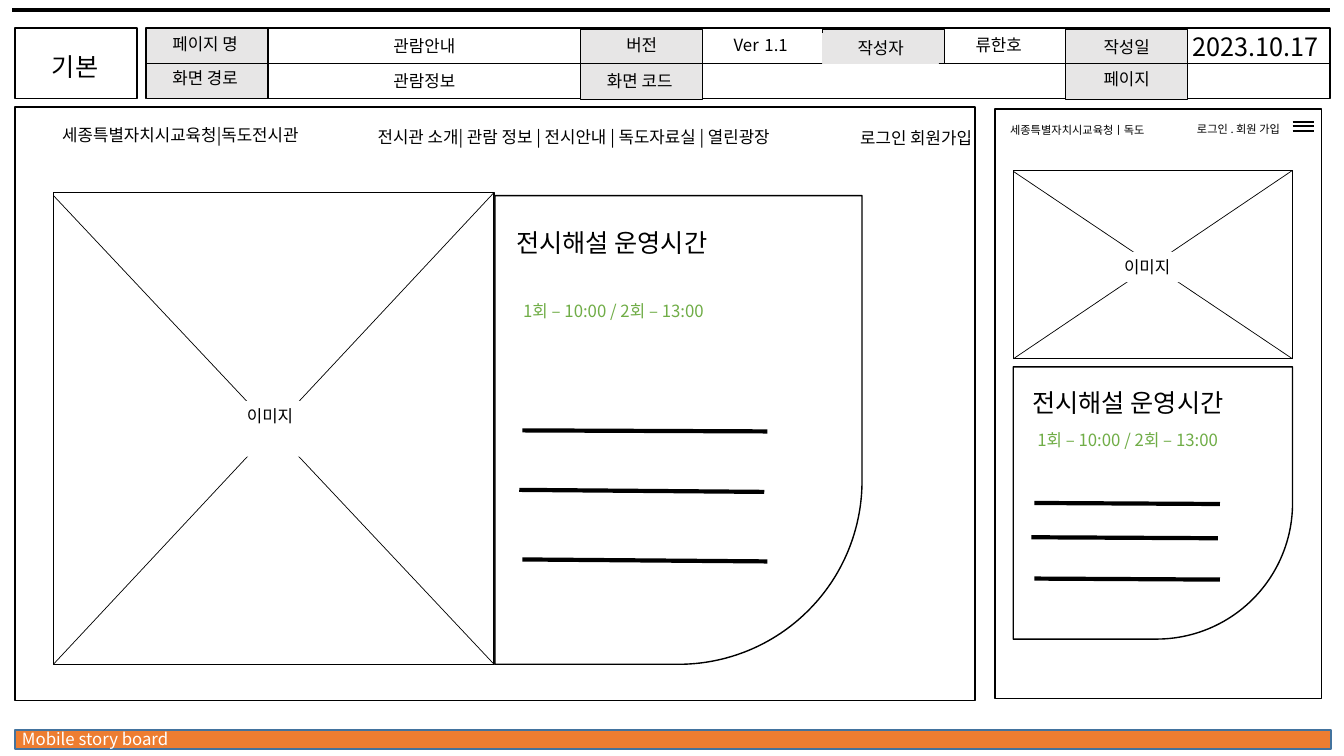
from dataclasses import dataclass
from typing import NamedTuple

from lxml.etree import SubElement
from pptx import Presentation
from pptx.dml.color import RGBColor
from pptx.enum.shapes import MSO_CONNECTOR as Connector, MSO_SHAPE as Preset
from pptx.enum.text import MSO_ANCHOR as Anchor, MSO_AUTO_SIZE as AutoSize, PP_ALIGN as Align
from pptx.oxml.ns import qn
from pptx.util import Inches, Pt


@dataclass(frozen=True)
class Theme:
    font: str = "Noto Sans CJK KR"
    black: str = "000000"
    white: str = "FFFFFF"
    gray: str = "E7E6E6"
    orange: str = "ED7D31"
    navy: str = "43739E"
    green: str = "70AD47"
    small: int = 8
    body: int = 12
    heading: int = 18
    hairline: float = 0.5
    label_line: float = 0.75
    outline: float = 1
    bold_line: float = 3


THEME = Theme()


class Box(NamedTuple):
    left: float
    top: float
    width: float
    height: float


class Stroke(NamedTuple):
    x1: float
    y1: float
    x2: float
    y2: float


class Label(NamedTuple):
    box: Box
    text: str
    size: int = THEME.body
    align: Align = Align.CENTER
    color: str = THEME.black


@dataclass(frozen=True)
class Mockup:
    picture: Box
    diagonal_top: float
    caption: Box
    card: Box
    heading: Box
    hours: Box
    strokes: tuple[Stroke, ...]
    picture_grouped: bool


HEADER = Box(1.45, 0.28, 11.74, 0.7)
FRAMES = (Box(0.15, 0.28, 1.21, 0.7), Box(0.15, 1.06, 9.52, 5.89), Box(9.87, 1.08, 3.24, 5.85))
HEADER_CELLS = (
    Box(1.45, 0.28, 1.21, 0.7),
    Box(5.76, 0.29, 1.21, 0.7),
    Box(8.16, 0.29, 1.21, 0.34),
    Box(10.57, 0.29, 1.21, 0.7),
)
AUTHOR = Label(Box(8.16, 0.33, 1.15, 0.3), "작성자")
VERSION = Label(Box(6.54, 0.21, 2.01, 0.4), "Ver")
LABELS = (
    Label(Box(0.12, 7.18, 3.2, 0.3), "Mobile story board", align=Align.LEFT, color=THEME.white),
    Label(Box(0.17, 0.46, 1.15, 0.42), "기본", THEME.heading),
    Label(Box(1.46, 0.29, 1.15, 0.3), "페이지 명"),
    Label(Box(1.46, 0.62, 1.15, 0.3), "화면 경로"),
    Label(Box(5.79, 0.3, 1.15, 0.3), "버전"),
    Label(Box(5.77, 0.65, 1.15, 0.3), "화면 코드"),
    Label(Box(10.6, 0.32, 1.15, 0.3), "작성일"),
    Label(Box(10.6, 0.63, 1.15, 0.3), "페이지"),
    Label(Box(8.9, 0.3, 2.01, 0.3), "류한호"),
    Label(Box(11.45, 0.26, 2.01, 0.4), "2023.10.17", THEME.heading),
    Label(Box(3.06, 0.31, 2.3, 0.3), "관람안내"),
    Label(Box(3.06, 0.65, 2.3, 0.3), "관람정보"),
    Label(Box(0.26, 1.19, 3.06, 0.3), "세종특별자치시교육청|독도전시관"),
    Label(Box(3.37, 1.21, 4.64, 0.3), "전시관 소개| 관람 정보 | 전시안내 | 독도자료실 | 열린광장"),
    Label(Box(5.83, 1.22, 3.91, 0.3), "로그인 회원가입", align=Align.RIGHT),
    Label(Box(9.92, 1.17, 1.87, 0.24), "세종특별자치시교육청ㅣ독도", THEME.small, Align.LEFT),
    Label(Box(11.58, 1.16, 1.24, 0.24), "로그인 . 회원 가입 ", THEME.small, Align.RIGHT),
)
MENU_ROWS = (1.21, 1.25, 1.3)
MOCKUPS = (
    Mockup(
        Box(0.53, 1.91, 4.37, 4.68), 1.94, Box(2.35, 3.98, 0.72, 0.55),
        Box(4.91, 1.94, 3.64, 4.65), Box(5.02, 2.21, 2.99, 0.73), Box(5.09, 2.93, 3.25, 0.55),
        (Stroke(5.18, 4.27, 7.61, 4.28), Stroke(5.15, 4.86, 7.58, 4.88), Stroke(5.18, 5.55, 7.61, 5.57)),
        True,
    ),
    Mockup(
        Box(10.05, 1.69, 2.77, 1.87), 1.7, Box(11.05, 2.5, 0.72, 0.3),
        Box(10.05, 3.64, 2.77, 2.7), Box(10.14, 3.79, 2.52, 0.4), Box(10.19, 4.21, 2.47, 0.32),
        (Stroke(10.26, 4.99, 12.1, 5), Stroke(10.23, 5.33, 12.08, 5.34), Stroke(10.26, 5.74, 12.1, 5.75)),
        False,
    ),
)


def add_box(shapes, box: Box, fill: str | None = None, line: str | None = THEME.black,
            width: float = THEME.outline, preset: Preset = Preset.RECTANGLE):
    shape = shapes.add_shape(preset, *map(Inches, box))
    shape.shadow.inherit = False
    if fill:
        shape.fill.solid()
        shape.fill.fore_color.rgb = RGBColor.from_string(fill)
    else:
        shape.fill.background()
    if line:
        shape.line.color.rgb = RGBColor.from_string(line)
        shape.line.width = Pt(width)
    else:
        shape.line.fill.background()
    return shape


def add_stroke(shapes, stroke: Stroke, width: float):
    connector = shapes.add_connector(Connector.STRAIGHT, *map(Inches, stroke))
    connector.line.color.rgb = RGBColor.from_string(THEME.black)
    connector.line.width = Pt(width)
    SubElement(connector._element.spPr, qn("a:effectLst"))
    return connector


def style_run(run, size: int, color: str) -> None:
    run.font.size = Pt(size)
    run.font.color.rgb = RGBColor.from_string(color)
    run.font.name = THEME.font
    SubElement(run.font._element, qn("a:ea"), typeface=THEME.font)


def write_label(shape, label: Label) -> None:
    frame = shape.text_frame
    frame.word_wrap = True
    frame.auto_size = AutoSize.SHAPE_TO_FIT_TEXT
    frame.vertical_anchor = Anchor.TOP
    frame.text = label.text
    paragraph = frame.paragraphs[0]
    paragraph.alignment = label.align
    style_run(paragraph.runs[0], label.size, label.color)


def add_label(shapes, label: Label):
    shape = shapes.add_textbox(*map(Inches, label.box))
    write_label(shape, label)
    return shape


def add_picture_frame(shapes, mockup: Mockup) -> None:
    left, top, width, height = mockup.picture
    right, bottom = left + width, top + height
    add_box(shapes, mockup.picture)
    for diagonal in (Stroke(left, bottom, right, top), Stroke(left, mockup.diagonal_top, right, bottom)):
        add_stroke(shapes, diagonal, THEME.hairline)
    caption = add_box(shapes, mockup.caption, THEME.white, None)
    write_label(caption, Label(mockup.caption, "이미지", align=Align.LEFT))


def add_card(shapes, mockup: Mockup) -> None:
    card = add_box(shapes, mockup.card, THEME.white, preset=Preset.ROUND_1_RECTANGLE)
    card.adjustments[0] = 0.5
    card.rotation = 180
    card._element.spPr.xfrm.set("flipH", "1")
    add_label(shapes, Label(mockup.heading, "전시해설 운영시간", THEME.heading, Align.LEFT))
    add_label(shapes, Label(mockup.hours, "1회 – 10:00 / 2회 – 13:00", align=Align.LEFT, color=THEME.green))
    for stroke in mockup.strokes:
        add_stroke(shapes, stroke, THEME.bold_line)


def main() -> None:
    presentation = Presentation()
    presentation.slide_width, presentation.slide_height = Inches(13.33), Inches(7.5)
    slide = presentation.slides.add_slide(presentation.slide_layouts.get_by_name("Blank"))
    shapes = slide.shapes

    add_stroke(shapes, Stroke(0.12, 0.1, 13.19, 0.1), THEME.bold_line)
    add_box(shapes, Box(0.15, 7.24, 13.05, 0.19), THEME.orange, THEME.navy)
    for frame in FRAMES:
        add_box(shapes, frame)
    header = add_box(shapes, HEADER)
    for cell in HEADER_CELLS:
        add_box(shapes, cell, THEME.gray)
    divider = add_stroke(shapes, Stroke(1.45, 0.63, 13.19, 0.63), THEME.hairline)
    divider.begin_connect(header, 1)
    divider.end_connect(header, 3)

    write_label(add_box(shapes, AUTHOR.box, None, THEME.gray, THEME.label_line), AUTHOR)
    for label in LABELS:
        add_label(shapes, label)
    version = add_label(shapes, VERSION).text_frame.paragraphs[0]
    for text, size in ((" ", THEME.heading), ("1.1", THEME.body)):
        run = version.add_run()
        run.text = text
        style_run(run, size, THEME.black)
    for row in MENU_ROWS:
        add_stroke(shapes, Stroke(12.82, row, 13.03, row), THEME.outline)
    for mockup in MOCKUPS:
        group = shapes.add_group_shape()
        add_picture_frame(group.shapes if mockup.picture_grouped else shapes, mockup)
        add_card(group.shapes, mockup)
    presentation.save("out.pptx")


if __name__ == "__main__":
    main()
